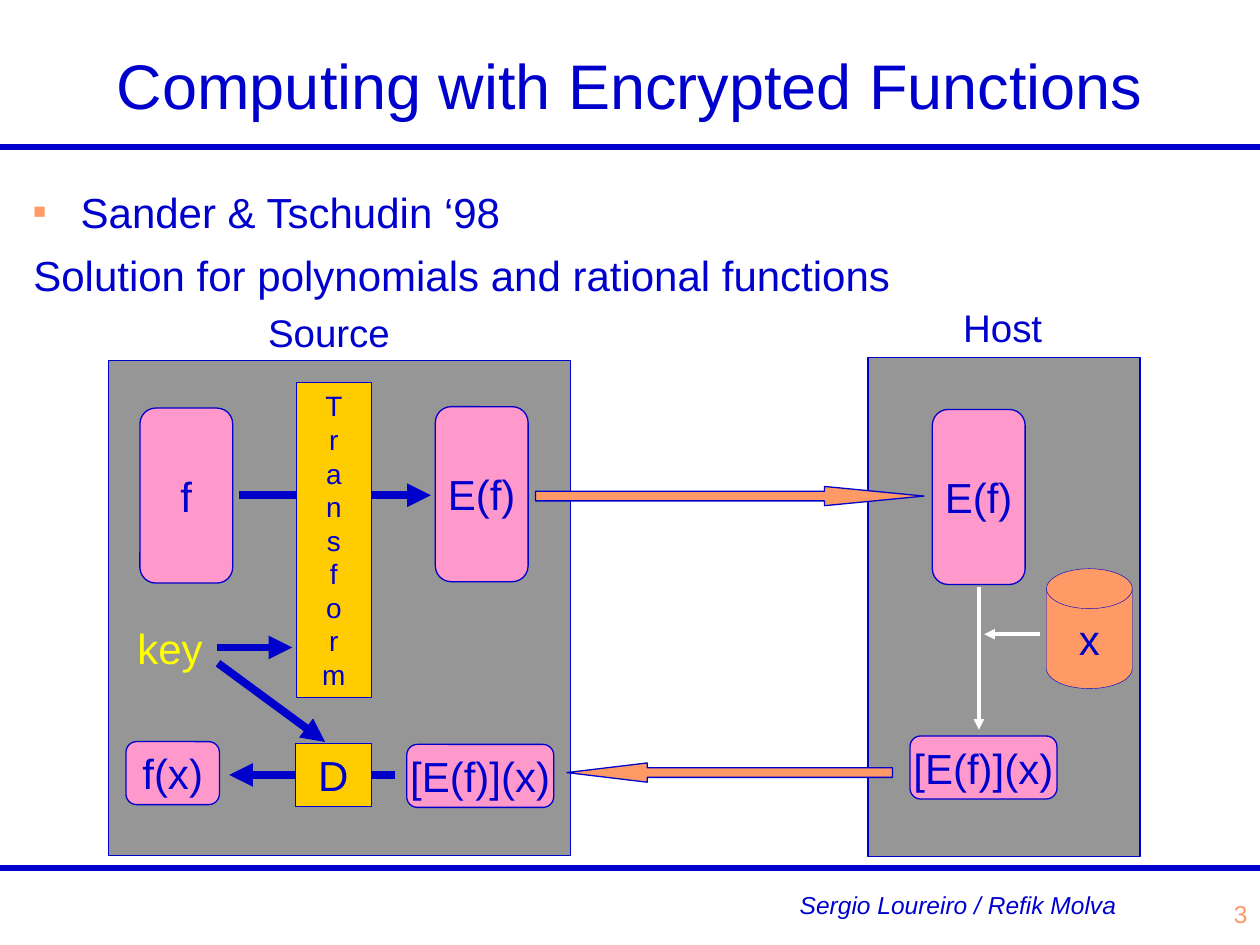
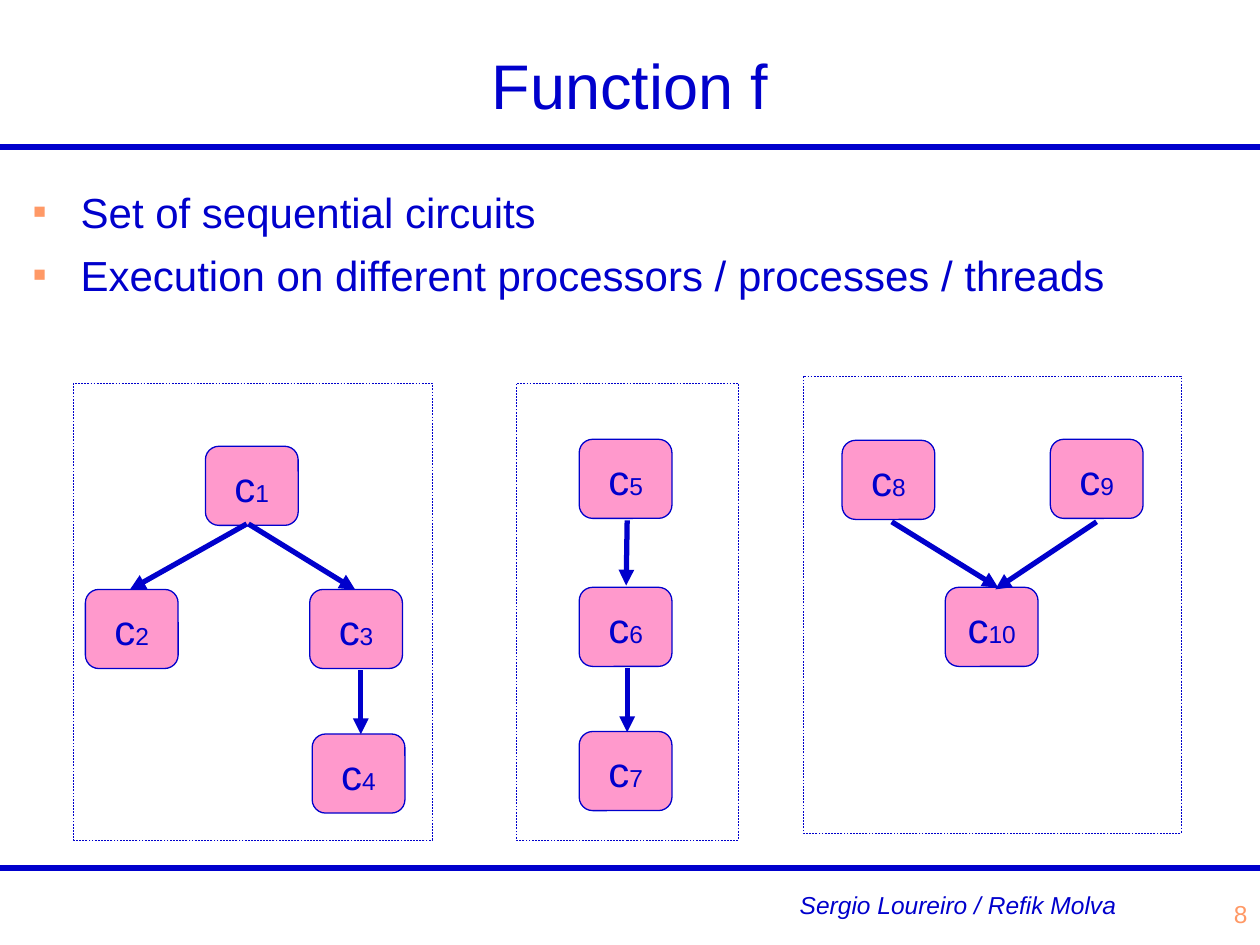
from lxml import etree
from pptx import Presentation
from pptx import util as u
from pptx.dml.color import RGBColor
from pptx.enum import dml, shapes, text as t
from pptx.oxml.ns import qn

COLOURS = {"blue": "0000CC", "grey": "969696", "gold": "FFCC00", "pink": "FF99CC",
           "orange": "FF9966", "yellow": "FFFF00", "white": "FFFFFF"}
FONT = "Arial"
KIND = shapes.MSO_SHAPE
ALIGN = t.PP_ALIGN
deck = Presentation()
deck.slide_width, deck.slide_height = u.Pt(720), u.Pt(540)


def put(page, words, at, kind=None, box=None, fill=None, line=0, dash=False, adjust=(),
        size=24, colour="blue", italic=False, align=ALIGN.CENTER, wrap=False,
        anchor=t.MSO_ANCHOR.MIDDLE, index="", bullets=None, before=0, spacing=None):
    """Place a shape, text box or given placeholder; each line of words is a paragraph."""
    spot = [u.Pt(value) for value in at]
    if box is not None:
        box.left, box.top, box.width, box.height = spot
    elif kind is None:
        box = page.shapes.add_textbox(*spot)
    else:
        box = page.shapes.add_shape(kind, *spot)
        box.shadow.inherit = False
        for number, value in enumerate(adjust):
            box.adjustments[number] = value
        if fill:
            box.fill.solid()
            box.fill.fore_color.rgb = RGBColor.from_string(COLOURS[fill])
        else:
            box.fill.background()
        box.line.color.rgb = RGBColor.from_string(COLOURS["blue"])
        box.line.width = u.Pt(line)
        if dash:
            box.line.dash_style = dml.MSO_LINE.DASH
    if not words:
        return
    frame = box.text_frame
    frame.auto_size = t.MSO_AUTO_SIZE.NONE
    frame.word_wrap = wrap
    frame.vertical_anchor = anchor
    for number, sentence in enumerate(words.split("\n")):
        para = frame.paragraphs[0] if number == 0 else frame.add_paragraph()
        if bullets is not None:
            props = para._p.get_or_add_pPr()
            props.set("marL", str(u.Pt(27)))
            props.set("indent", str(-u.Pt(27)))
            if number < bullets:
                tint = etree.SubElement(props, qn("a:buClr"))
                etree.SubElement(tint, qn("a:srgbClr"), val=COLOURS["orange"])
                etree.SubElement(props, qn("a:buSzPct"), val="50000")
                etree.SubElement(props, qn("a:buFont"), typeface=FONT)
                etree.SubElement(props, qn("a:buChar"), char="■")
            else:
                etree.SubElement(props, qn("a:buNone"))
        para.alignment = align
        if spacing:
            para.line_spacing = spacing
        if number and before:
            para.space_before = u.Pt(before)
        for part, points in ((sentence, size), (index, 14)):
            if part:
                span = para.add_run()
                span.text = part
                span.font.name, span.font.size = FONT, u.Pt(points)
                span.font.bold, span.font.italic = False, italic
                span.font.color.rgb = RGBColor.from_string(COLOURS[colour])


def connect(page, ends, width=3, colour="blue", head=True):
    """Draw a straight line, with an arrowhead at its far end if wanted."""
    line = page.shapes.add_connector(shapes.MSO_CONNECTOR.STRAIGHT,
                                     *[u.Pt(value) for value in ends])
    line.line.color.rgb = RGBColor.from_string(COLOURS[colour])
    line.line.width = u.Pt(width)
    if head:
        etree.SubElement(line.line._get_or_add_ln(), qn("a:tailEnd"), type="triangle")
    etree.SubElement(line._element.spPr, qn("a:effectLst"))


# Shared frame: rules, title, body text, credit and page number
contents = [
    ("Computing with Encrypted Functions",
     "Sander & Tschudin ‘98\nSolution for polynomials and rational functions", 1, "3"),
    ("Function f",
     "Set of sequential circuits\nExecution on different processors / processes / threads", 2, "8"),
]
pages = []
for title, body, bullets, number in contents:
    page = deck.slides.add_slide(deck.slide_layouts[5])
    pages.append(page)
    for y in (84, 496):
        connect(page, (0, y, 720, y), head=False)
    put(page, title, (0, 0, 720, 102), box=page.shapes.title, size=36, wrap=True, spacing=0.9)
    put(page, body, (12, 103, 702, 390), align=ALIGN.LEFT, wrap=True,
        anchor=t.MSO_ANCHOR.TOP, bullets=bullets, before=7)
    put(page, "Sergio Loureiro / Refik Molva", (450, 505, 195, 24), size=14, italic=True)
    put(page, number, (570, 504, 150, 36), size=14, colour="orange", align=ALIGN.RIGHT, wrap=True)
scheme, circuits = pages

# Source and host areas with their labels
for name, area, label in (("Source", (62, 206, 264, 283), (146, 173, 84, 34)),
                          ("Host", (496, 204.5, 155.5, 285), (543.5, 170, 59, 34))):
    put(scheme, "", area, KIND.RECTANGLE, fill="grey", line=0.75)
    put(scheme, name, label, size=22)

# Arrows inside the source, behind the transform and decryption steps
for ends in ((136.8, 283, 246.2, 283), (123.8, 370, 167, 370),
             (226, 442.8, 131, 442.8), (124.6, 379, 185.8, 424)):
    connect(scheme, ends, width=4.5)

# Transform and decryption steps
put(scheme, "\n".join("Transform"), (169.2, 218.6, 43.2, 180), KIND.RECTANGLE,
    fill="gold", line=0.25, size=16, wrap=True)
put(scheme, "D", (168.8, 424.8, 43.2, 36), KIND.RECTANGLE, fill="gold", line=0.25, wrap=True)
put(scheme, "key", (71.2, 352, 52, 36), colour="yellow")

# Exchange between source and host
put(scheme, "", (306, 278, 222, 11), KIND.RIGHT_ARROW, fill="orange", line=0.75,
    adjust=(0.5, 5.17))
put(scheme, "", (324, 436, 186, 11), KIND.LEFT_ARROW, fill="orange", line=0.75,
    adjust=(0.5, 4.17))

# Functions and results
for words, at in (("f", (80, 233.2, 53, 100)), ("E(f)", (248.8, 232.4, 53, 100)),
                  ("E(f)", (532.8, 234, 53, 100)), ("[E(f)](x)", (520, 420.6, 84, 36)),
                  ("[E(f)](x)", (232.4, 425.4, 84, 36)), ("f(x)", (72, 423.8, 53.4, 36))):
    put(scheme, words, at, KIND.ROUNDED_RECTANGLE, fill="pink", line=0.75, adjust=(0.17,))

# Evaluation at the host
put(scheme, "x", (598, 325, 49, 68.5), KIND.FLOWCHART_MAGNETIC_DISK, fill="orange",
    line=0.25, wrap=True)
for ends in ((559.4, 335.5, 559.4, 417), (594, 362.4, 562.4, 362.4)):
    connect(scheme, ends, width=2, colour="white")

# Circuit nodes c1 to c10
nodes = [(117.4, 255), (48.8, 336.8), (177, 336.8), (178.4, 419.4), (331, 251),
         (331, 335.6), (331, 418), (481.2, 251.6), (600.2, 251), (540.2, 335.6)]
for index, (x, y) in enumerate(nodes, 1):
    put(circuits, "c", (x, y, 53, 45.2), KIND.ROUNDED_RECTANGLE, fill="pink", line=0.75,
        adjust=(0.17,), index=str(index))

# Flow between the nodes
for ends in ((142, 299.4, 203, 337), (141, 299.4, 74.2, 337), (206.2, 383, 206.2, 419.6),
             (358.4, 297.4, 357.8, 334.6), (358.4, 381.6, 358.4, 418.4),
             (509.6, 298.2, 570.4, 335.8), (626.6, 298.2, 568.8, 336.8)):
    connect(circuits, ends)

# Dashed outline of each circuit
for x, y, width in ((42, 219, 205), (295, 219, 127), (459, 215, 216)):
    put(circuits, "", (x, y, width, 261), KIND.RECTANGLE, line=0.25, dash=True)

deck.save("out.pptx")
